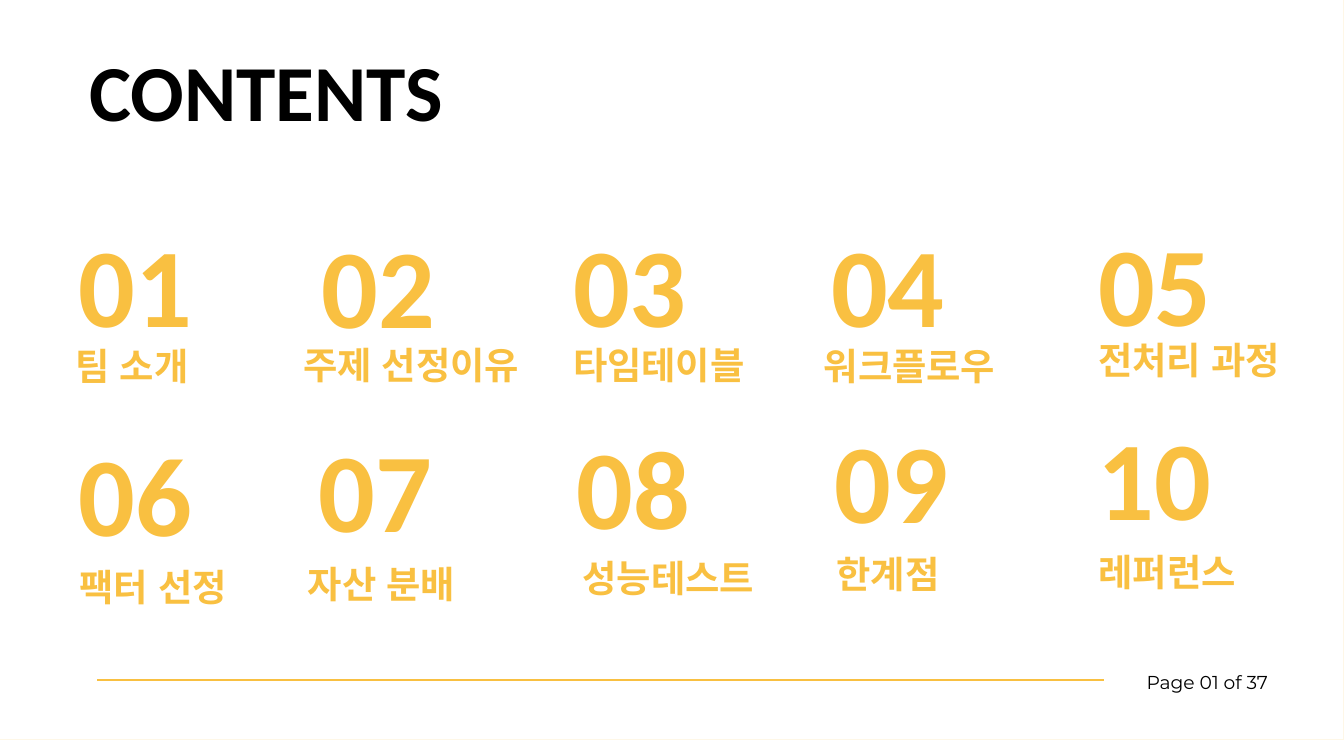
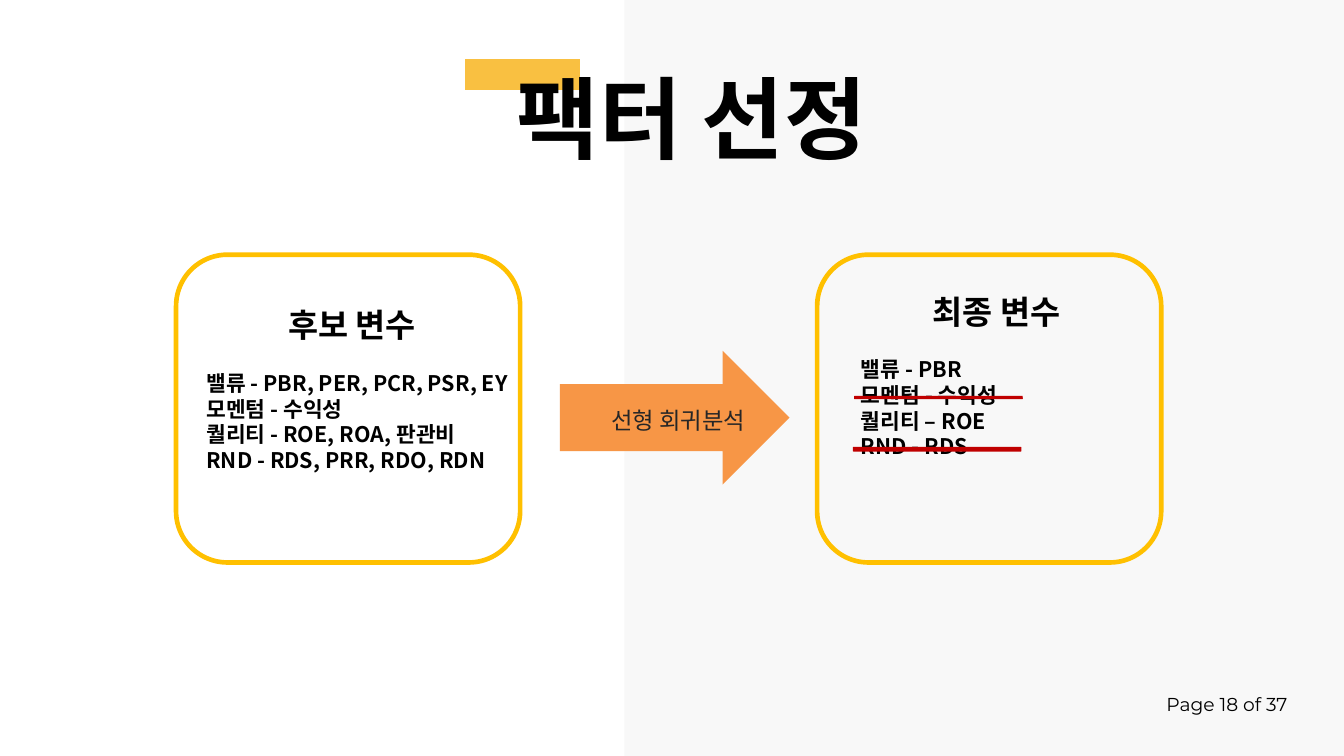
from dataclasses import dataclass

from lxml import etree
from pptx import Presentation
from pptx.dml.color import RGBColor
from pptx.enum.shapes import MSO_CONNECTOR, MSO_SHAPE
from pptx.enum.text import MSO_ANCHOR, MSO_AUTO_SIZE, PP_ALIGN
from pptx.oxml.ns import qn
from pptx.util import Inches, Pt

RECT, ROUND = MSO_SHAPE.RECTANGLE, MSO_SHAPE.ROUNDED_RECTANGLE
ARROW = MSO_SHAPE.RIGHT_ARROW
STRAIGHT = MSO_CONNECTOR.STRAIGHT
TOP, NO_FIT = MSO_ANCHOR.TOP, MSO_AUTO_SIZE.NONE
LEFT, RIGHT = PP_ALIGN.LEFT, PP_ALIGN.RIGHT
TITLE_ONLY, TWO_LISTS = 5, 3
WIDTH, HEIGHT = 20, 11.25


@dataclass(frozen=True)
class Theme:
    """Colours, fonts and type sizes shared by the slides."""
    yellow: str = "F9C041"
    amber: str = "FFC000"
    orange: str = "F79646"
    red: str = "C00000"
    grey: str = "DDDDDD"
    black: str = "000000"
    dark: str = "262626"
    head: str = "Calibri"
    label: str = "Arial"
    page: str = "Montserrat"
    korean: str = "Noto Sans CJK KR"
    contents_size: int = 85
    title_size: int = 96
    number_size: int = 120
    label_size: int = 40
    card_size: int = 35
    arrow_size: int = 25
    list_size: int = 23
    page_size: int = 20


T = Theme()

ENTRIES = [
    ("01", "팀 소개", 1.17, 3.62, -0.05, 1.68, T.label),
    ("02", "주제 선정이유", 4.79, 3.64, -0.28, 1.65, T.label),
    ("03", "타임테이블", 8.53, 3.62, 0, 1.67, T.label),
    ("04", "워크플로우", 12.37, 3.63, -0.11, 1.67, T.page),
    ("05", "전처리 과정", 16.34, 3.61, 0, 1.61, T.page),
    ("06", "팩터 선정", 1.17, 6.73, 0.01, 1.87, T.label),
    ("07", "자산 분배", 4.74, 6.68, -0.16, 1.87, T.label),
    ("08", "성능테스트", 8.58, 6.63, 0.09, 1.83, T.label),
    ("09", "한계점", 12.42, 6.54, 0.03, 1.86, T.label),
    ("10", "레퍼런스", 16.33, 6.5, 0.02, 1.87, T.label),
]
CANDIDATES = [
    "밸류 - PBR, PER, PCR, PSR, EY",
    "모멘텀 - 수익성",
    "퀄리티 - ROE, ROA, 판관비",
    "RND - RDS, PRR, RDO, RDN",
]
FINALS = ["밸류 - PBR", "모멘텀 - 수익성", "퀄리티 – ROE", "RND - RDS"]


def rgb(code):
    """Turn a hex code into a colour."""
    return RGBColor.from_string(code)


def write(p, text, size, font, color, bold=False, spacing=None, align=LEFT):
    """Add one formatted run to a paragraph."""
    p.alignment = align
    p.space_before = Pt(0)
    if spacing:
        p.line_spacing = Pt(spacing)
    r = p.add_run()
    r.text = text
    r.font.size, r.font.bold = Pt(size), bold
    r.font.color.rgb = rgb(color)
    r.font.name = font
    etree.SubElement(r.font._element, qn("a:ea"), typeface=font)


def frame(sp, x, y, w, h, inset_x=0, inset_y=0):
    """Place a text shape and return its prepared text frame."""
    sp.left, sp.top, sp.width, sp.height = map(Inches, (x, y, w, h))
    tf = sp.text_frame
    tf.word_wrap, tf.auto_size, tf.vertical_anchor = True, NO_FIT, TOP
    tf.margin_left = tf.margin_right = Inches(inset_x)
    tf.margin_top = tf.margin_bottom = Inches(inset_y)
    return tf


def add_text(s, x, y, w, h, *args, inset_x=0, inset_y=0, **style):
    """Add a text box holding one line."""
    sp = s.shapes.add_textbox(0, 0, 0, 0)
    write(frame(sp, x, y, w, h, inset_x, inset_y).paragraphs[0], *args, **style)


def set_title(s, text, x, y, w, h, size, spacing=None):
    """Place and fill the title placeholder."""
    tf = frame(s.shapes.title, x, y, w, h)
    write(tf.paragraphs[0], text, size, T.head, T.black, True, spacing)


def add_filled(s, kind, x, y, w, h, color):
    """Add a preset shape with a solid fill and no outline."""
    sp = s.shapes.add_shape(kind, *map(Inches, (x, y, w, h)))
    sp.shadow.inherit = False
    sp.fill.solid()
    sp.fill.fore_color.rgb = rgb(color)
    sp.line.fill.background()
    return sp


def send_to_back(s, sp):
    """Move a shape behind all others."""
    s.shapes.element.insert(2, sp._element)


def page_number(s, x, y, number):
    """Add the page counter."""
    add_text(s, x, y, 2.17, 0.36, f"Page {number} of 37", T.page_size, T.page,
             T.black, spacing=28, align=RIGHT)


def border(s, inset):
    """Draw a thin frame around the slide."""
    fb = s.shapes.build_freeform(0, 0, scale=Inches(1))
    fb.add_line_segments([(0, HEIGHT), (WIDTH, HEIGHT), (WIDTH, 0)], close=True)
    right, bottom = WIDTH - inset, HEIGHT - inset
    fb.move_to(right, bottom)
    fb.add_line_segments([(inset, bottom), (inset, inset), (right, inset)], close=True)
    sp = fb.convert_to_shape()
    sp.shadow.inherit = False
    sp.fill.solid()
    sp.fill.fore_color.rgb = rgb(T.yellow)
    sp.line.fill.background()
    send_to_back(s, sp)


def footer_rule(s, x, y, w):
    """Draw the line beside the page counter."""
    line = s.shapes.add_connector(STRAIGHT, *map(Inches, (x, y, x + w, y)))
    line.line.color.rgb = rgb(T.yellow)
    line.line.width = Pt(1.5)
    etree.SubElement(line._element.spPr, qn("a:effectLst"))


def entry(s, number, label, x, y, dx, dy, font):
    """Add one numbered entry of the contents."""
    add_text(s, x, y, 2.84, 1.64, number, T.number_size, T.head, T.yellow,
             bold=True, spacing=114)
    left = x + dx
    add_text(s, left, y + dy, min(4.33, WIDTH - left), 0.5, label, T.label_size,
             font, T.yellow, bold=True, spacing=33.6)


def card(s, body, x, y, dx, dy, heading, indent, items):
    """Draw a rounded card with a heading and a list."""
    sp = s.shapes.add_shape(ROUND, *map(Inches, (x, y, 5.12, 4.58)))
    sp.shadow.inherit = False
    sp.fill.background()
    sp.line.color.rgb = rgb(T.amber)
    sp.line.width = Pt(5)
    tf = frame(body, x + dx, y + dy, 7.29, 2.63, 0.1, 0.05)
    lines = [(heading, T.card_size, 42, indent)]
    lines += [(item, T.list_size, 27.5, 0) for item in items]
    for i, (text, size, spacing, margin) in enumerate(lines):
        p = tf.paragraphs[0] if i == 0 else tf.add_paragraph()
        write(p, text, size, T.korean, T.black, True, spacing)
        if i == 1:
            p.space_before = Pt(27.5)
        pPr = p._p.get_or_add_pPr()
        pPr.set("marL", str(Inches(margin)))
        pPr.set("indent", "0")
        etree.SubElement(pPr, qn("a:buNone"))


def method_arrow(s, x, y):
    """Draw the labelled arrow between the cards."""
    add_filled(s, ARROW, x, y, 3.42, 1.99, T.orange)
    add_text(s, x + 0.67, y + 0.77, 4.95, 0.52, "선형 회귀분석", T.arrow_size,
             T.head, T.dark, inset_x=0.1, inset_y=0.05)


def right_panel(s, x):
    """Tint the right part of the slide."""
    sp = add_filled(s, RECT, x, 0, WIDTH - x, HEIGHT, T.grey)
    color = sp.fill._xPr.find(qn("a:solidFill"))[0]
    etree.SubElement(color, qn("a:alpha"), val="18000")
    send_to_back(s, sp)


def contents_slide(prs):
    """Build the table of contents."""
    s = prs.slides.add_slide(prs.slide_layouts[TITLE_ONLY])
    border(s, 0.05)
    footer_rule(s, 1.45, 10.12, 14.98)
    page_number(s, 16.7, 9.93, "01")
    set_title(s, "CONTENTS", 1.33, 1.21, 12.19, 0.96, T.contents_size, 60.4)
    for item in ENTRIES:
        entry(s, *item)


def factor_slide(prs):
    """Build the slide on the selection of factors."""
    s = prs.slides.add_slide(prs.slide_layouts[TWO_LISTS])
    send_to_back(s, add_filled(s, RECT, 6.92, 0.88, 1.71, 0.46, T.yellow))
    right_panel(s, 9.29)
    page_number(s, 16.99, 10.26, "18")
    set_title(s, "팩터 선정", 7.69, 0.93, 12.31, 1.62, T.title_size)
    method_arrow(s, 8.33, 5.22)
    card(s, s.placeholders[1], 2.62, 3.79, 0.35, 0.7, "후보 변수", 1.22, CANDIDATES)
    card(s, s.placeholders[2], 12.16, 3.79, 0.55, 0.5, "최종 변수", 1.07, FINALS)
    for x, y, h in [(12.71, 5.89, 0.05), (12.69, 6.65, 0.07)]:
        add_filled(s, ROUND, x, y, 2.51, h, T.red)


def main():
    """Build and save the presentation."""
    prs = Presentation()
    prs.slide_width, prs.slide_height = Inches(WIDTH), Inches(HEIGHT)
    contents_slide(prs)
    factor_slide(prs)
    prs.save("out.pptx")


if __name__ == "__main__":
    main()
